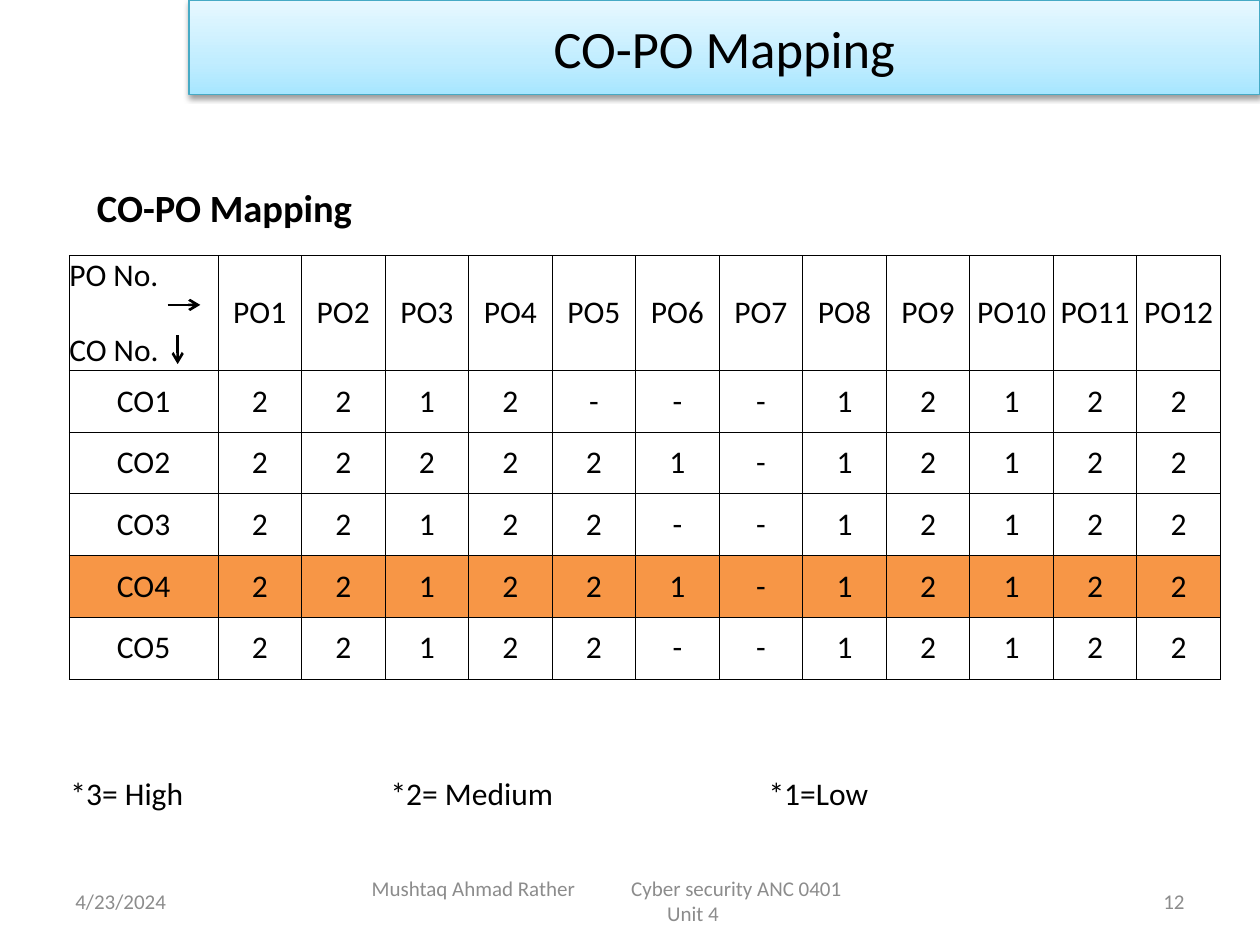
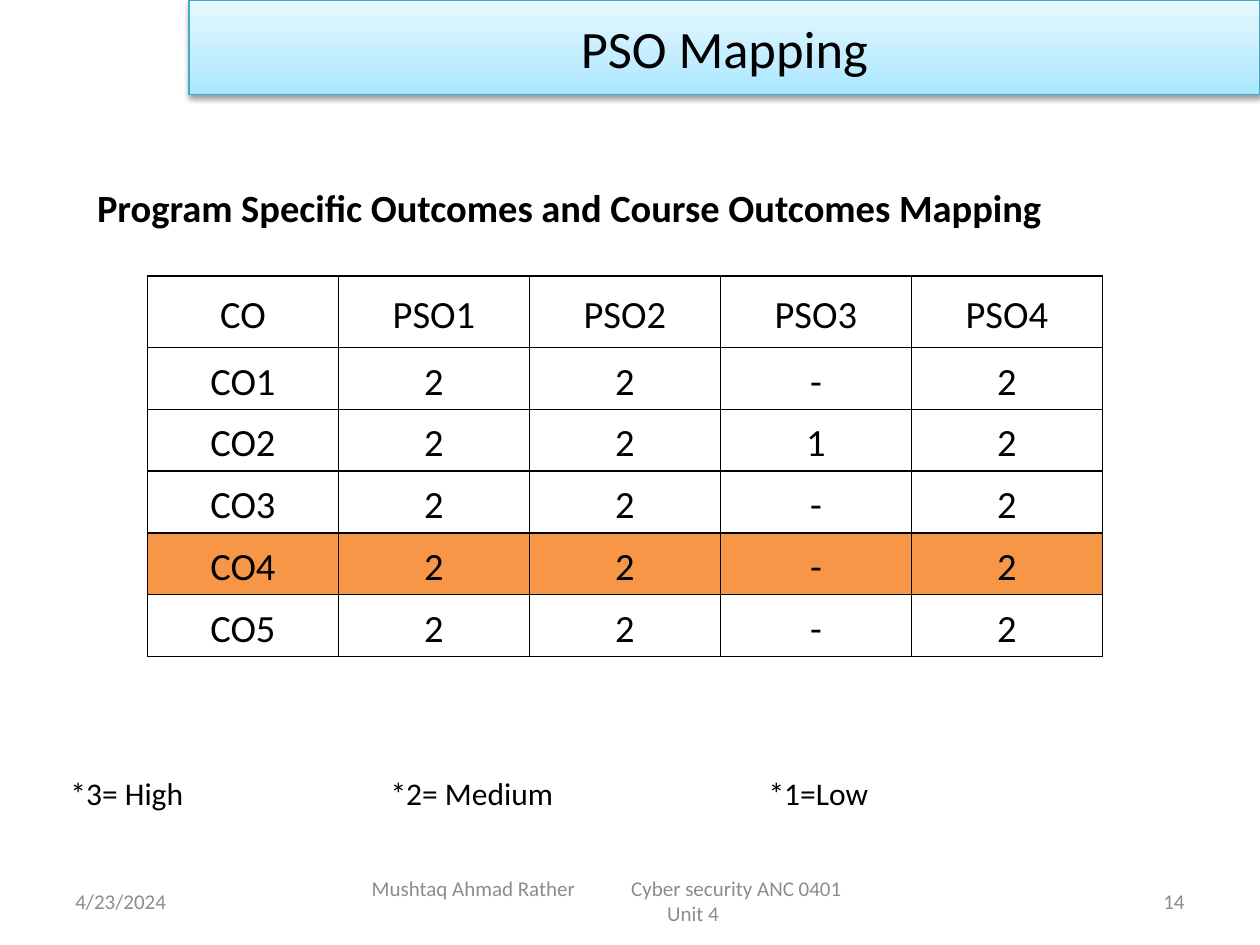
from pptx import Presentation
from pptx import util as u
from pptx.dml.color import RGBColor
from pptx.enum import text
from pptx.oxml import parse_xml
from pptx.oxml.ns import nsdecls, qn
from lxml import etree

I = u.Inches
FONT = "Calibri"
COLORS = {
    "ink": "000000",
    "muted": "8C8C8C",
    "paper": "FFFFFF",
    "highlight": "F79646",
    "band_line": "46AAC5",
    "band_low": "A7E6FF",
    "band_mid": "C1EDFF",
    "band_high": "E7F8FF",
}
LEFT, CENTER, RIGHT = (text.PP_ALIGN.LEFT, text.PP_ALIGN.CENTER,
                       text.PP_ALIGN.RIGHT)
HIGHLIGHT_ROW = 4

PO_ROWS = [
    ["PO No.\nCO No."] + [f"PO{n}" for n in range(1, 13)],
    ["CO1", *"2212---12122"],
    ["CO2", *"222221-12122"],
    ["CO3", *"22122--12122"],
    ["CO4", *"221221-12122"],
    ["CO5", *"22122--12122"],
]
PSO_ROWS = [
    ["CO"] + [f"PSO{n}" for n in range(1, 5)],
    ["CO1", *"22-2"],
    ["CO2", *"2212"],
    ["CO3", *"22-2"],
    ["CO4", *"22-2"],
    ["CO5", *"22-2"],
]


def rgb(name):
    return RGBColor.from_string(COLORS[name])


def style_text(tf, size, color="ink", align=LEFT, bold=False):
    for p in tf.paragraphs:
        p.alignment = align
        for r in p.runs:
            r.font.name = FONT
            r.font.size = u.Pt(size)
            r.font.bold = bold
            r.font.color.rgb = rgb(color)


def add_tabs(p, *stops):
    tabs = etree.SubElement(p._p.get_or_add_pPr(), qn("a:tabLst"))
    for stop in stops:
        etree.SubElement(tabs, qn("a:tab"), pos=str(I(stop)), algn="l")


def add_text(s, box, words, size, insets=(0.1, 0.05, 0.1, 0.05), **style):
    tf = s.shapes.add_textbox(*map(I, box)).text_frame
    tf.word_wrap = True
    tf.vertical_anchor = text.MSO_ANCHOR.MIDDLE
    (tf.margin_left, tf.margin_top,
     tf.margin_right, tf.margin_bottom) = map(I, insets)
    tf.text = words
    style_text(tf, size, **style)
    return tf


def format_title(s, words):
    sp = s.shapes.title
    sp.left, sp.top, sp.width, sp.height = map(I, (1.5, 0, 8.5, 0.75))
    stops = "".join(
        f'<a:gs pos="{pos}"><a:srgbClr val="{COLORS[name]}"/></a:gs>'
        for pos, name in ((0, "band_low"), (35000, "band_mid"),
                          (100000, "band_high")))
    spPr = sp._element.spPr
    spPr.append(parse_xml(
        f'<a:gradFill {nsdecls("a")} rotWithShape="1"><a:gsLst>{stops}'
        '</a:gsLst><a:lin ang="16200000" scaled="0"/></a:gradFill>'))
    sp.line.color.rgb = rgb("band_line")
    sp.line.width = u.Pt(0.75)
    spPr.append(parse_xml(
        f'<a:effectLst {nsdecls("a")}><a:outerShdw blurRad="40000" '
        'dist="20000" dir="5400000" rotWithShape="0">'
        f'<a:srgbClr val="{COLORS["ink"]}"><a:alpha val="38000"/></a:srgbClr>'
        '</a:outerShdw></a:effectLst>'))
    tf = sp.text_frame
    tf.text = words
    tf.vertical_anchor = text.MSO_ANCHOR.MIDDLE
    style_text(tf, 30, align=CENTER)


def add_footer(s, number):
    add_text(s, (0.5, 6.95, 2.33, 0.4), "4/23/2024", 12, color="muted")
    add_text(s, (7.17, 6.95, 2.33, 0.4), number, 12, color="muted",
             align=RIGHT)
    tf = add_text(s, (2.75, 6.95, 5.5, 0.4),
                  "Mushtaq Ahmad Rather\tCyber security ANC 0401\nUnit 4",
                  12, insets=(0.2, 0.05, 0.2, 0.05), color="muted")
    course, unit = tf.paragraphs
    add_tabs(course, 2.06)
    unit.alignment = CENTER


def add_legend(s):
    tf = add_text(s, (0, 6.09, 9.77, 0.4), "*3= High\t*2= Medium\t*1=Low",
                  18, insets=(0.56, 0.05, 0.1, 0.05))
    add_tabs(tf.paragraphs[0], 2.54, 5.54)


def add_border(cell, width):
    tcPr = cell._tc.get_or_add_tcPr()
    for side in "LRTB":
        tcPr.append(parse_xml(
            f'<a:ln{side} {nsdecls("a")} w="{u.Pt(width)}"><a:solidFill>'
            f'<a:srgbClr val="{COLORS["ink"]}"/></a:solidFill></a:ln{side}>'))


def add_grid(s, box, rows, widths, heights, size, border, inset=0,
             spacing=None):
    table = s.shapes.add_table(len(rows), len(rows[0]), *map(I, box)).table
    table.first_row = table.horz_banding = False
    for column, width in zip(table.columns, widths):
        column.width = I(width)
    for row, height in zip(table.rows, heights):
        row.height = I(height)
    for i, values in enumerate(rows):
        for j, value in enumerate(values):
            cell = table.cell(i, j)
            cell.text = value
            cell.vertical_anchor = text.MSO_ANCHOR.MIDDLE
            cell.margin_left = cell.margin_right = I(inset)
            cell.margin_top = cell.margin_bottom = 0
            style_text(cell.text_frame, size, align=CENTER)
            if spacing:
                cell.text_frame.paragraphs[0].line_spacing = spacing
            add_border(cell, border)
            cell.fill.solid()
            cell.fill.fore_color.rgb = rgb(
                "highlight" if i == HIGHLIGHT_ROW else "paper")
    return table


def add_arrow(s, x1, y1, x2, y2):
    cx = s.shapes.add_connector(1, I(x1), I(y1), I(x2), I(y2))
    cx.line.color.rgb = rgb("ink")
    cx.line.width = u.Pt(1.5)
    etree.SubElement(cx.line._get_or_add_ln(), qn("a:tailEnd"), type="arrow")
    etree.SubElement(cx._element.spPr, qn("a:effectLst"))


def add_mapping_slide(prs, title, heading, heading_width, number):
    s = prs.slides.add_slide(prs.slide_layouts[5])
    format_title(s, title)
    add_text(s, (0.47, 1.41, heading_width, 0.42), heading, 22,
             insets=(0.3, 0.05, 0.1, 0), bold=True)
    add_legend(s)
    add_footer(s, number)
    return s


def main():
    prs = Presentation()
    prs.slide_width, prs.slide_height = I(10), I(7.5)

    s = add_mapping_slide(prs, "CO-PO Mapping", "CO-PO Mapping", 4.14, "12")
    table = add_grid(s, (0.55, 2.03, 9.14, 3.34), PO_ROWS,
                     [1.18] + [(9.14 - 1.18) / 12] * 12,
                     [0.91] + [0.49] * 5, 18, 0.5)
    po_label, co_label = table.cell(0, 0).text_frame.paragraphs
    po_label.alignment = co_label.alignment = LEFT
    co_label.space_before = u.Pt(21)
    add_arrow(s, 1.33, 2.42, 1.59, 2.42)
    add_arrow(s, 1.41, 2.66, 1.41, 2.89)

    s = add_mapping_slide(
        prs, "PSO Mapping",
        "Program Specific Outcomes and Course Outcomes Mapping", 8.52, "14")
    add_grid(s, (1.17, 2.19, 7.58, 3.03), PSO_ROWS, [7.58 / 5] * 5,
             [0.57] + [0.49] * 5, 22, 1, inset=0.07, spacing=1.15)

    prs.save("out.pptx")


if __name__ == "__main__":
    main()
